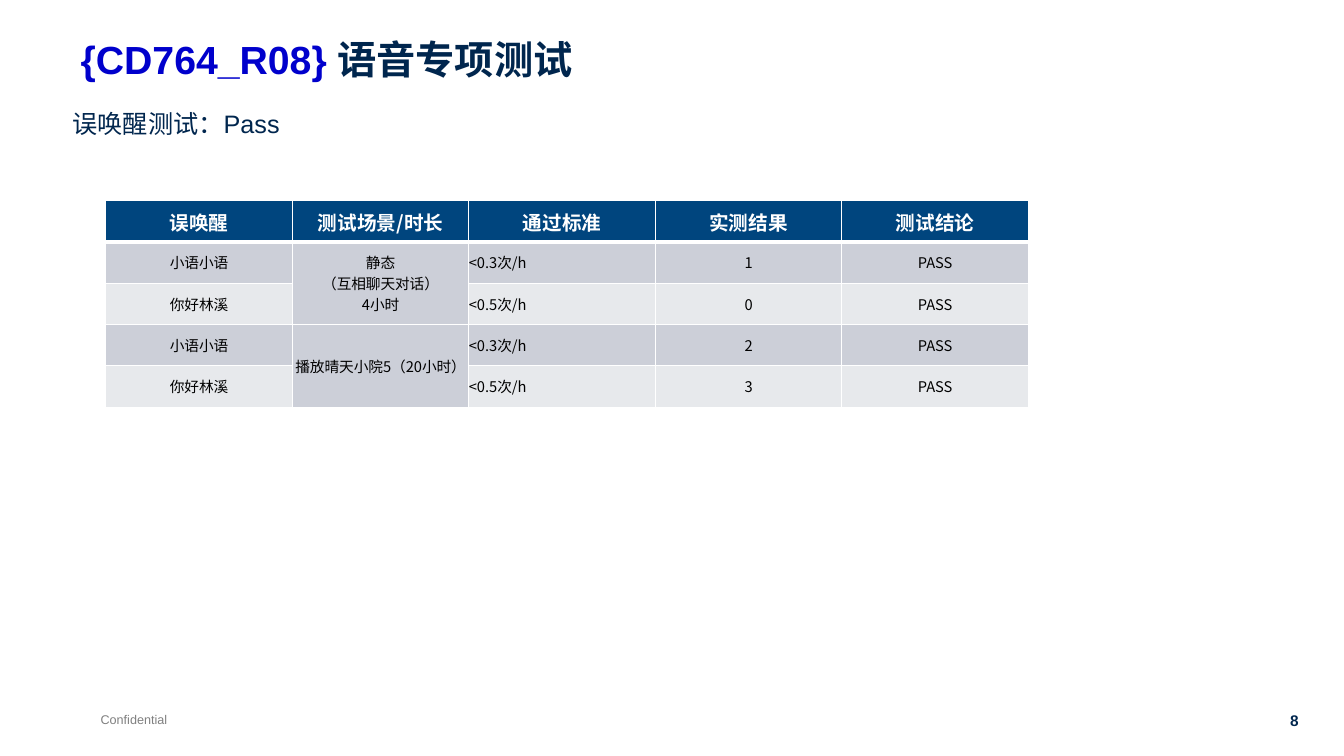
from dataclasses import dataclass

import lxml.etree
import pptx
import pptx.dml.color
import pptx.enum.text
import pptx.oxml.ns
import pptx.util

PX = 9144  # EMU in one px, 100 px to the inch
ALIGN = pptx.enum.text.PP_ALIGN
qn = pptx.oxml.ns.qn


@dataclass(frozen=True)
class Style:
    size: float
    color: str
    font: str = "Arial"
    bold: bool = False


@dataclass(frozen=True)
class Theme:
    asian_font: str = "Noto Sans CJK SC"
    title_code: Style = Style(28, "0000CC", bold=True)
    title: Style = Style(28, "00264E", bold=True)
    subtitle: Style = Style(18, "00264E")
    footer: Style = Style(9, "808080")
    page_number: Style = Style(11, "00264E", bold=True)
    header: Style = Style(14, "FFFFFF", "Noto Sans CJK SC", True)
    body: Style = Style(10.5, "000000", "Noto Sans CJK SC")
    header_fill: str = "00457E"
    band_fills: tuple[str, str] = ("CCCFD8", "E7E9EC")
    border: str = "FFFFFF"


@dataclass(frozen=True)
class Label:
    text: str
    box: tuple[int, int, int, int]
    style: Style
    align: ALIGN = ALIGN.LEFT
    wrap: bool = False


@dataclass(frozen=True)
class WakeTest:
    phrase: str
    scene: str
    limit: str
    result: str
    verdict: str = "PASS"

    def cells(self) -> list[str]:
        return [self.phrase, self.scene, self.limit, self.result, self.verdict]


THEME = Theme()
LABELS = [
    Label("Confidential", (90, 701, 87, 25), THEME.footer),
    Label("8", (1259, 701, 39, 29), THEME.page_number, ALIGN.RIGHT),
    Label("误唤醒测试：Pass", (62, 103, 1193, 40), THEME.subtitle, wrap=True),
]
HEADERS = ["误唤醒", "测试场景/时长", "通过标准", "实测结果", "测试结论"]
TESTS = [
    WakeTest("小语小语", "静态\v（互相聊天对话）\v4小时", "<0.3次/h", "1"),
    WakeTest("你好林溪", "", "<0.5次/h", "0"),
    WakeTest("小语小语", "播放晴天小院5（20小时）", "<0.3次/h", "2"),
    WakeTest("你好林溪", "", "<0.5次/h", "3"),
]
COLUMN_WIDTHS = [185, 175, 185, 185, 185]
ROW_HEIGHT = 41
SCENE_COLUMN, LIMIT_COLUMN = 1, 2


def rgb(color: str) -> pptx.dml.color.RGBColor:
    return pptx.dml.color.RGBColor.from_string(color)


def style_run(run, style: Style) -> None:
    run.font.name = style.font
    run.font.size = pptx.util.Pt(style.size)
    run.font.bold = style.bold
    run.font.color.rgb = rgb(style.color)
    lxml.etree.SubElement(run.font._element, qn("a:ea"), typeface=THEME.asian_font)


def style_paragraph(paragraph, style: Style, align: ALIGN) -> None:
    paragraph.alignment = align
    for run in paragraph.runs:
        style_run(run, style)
    for line_break in paragraph._p.findall(qn("a:br")):
        lxml.etree.SubElement(line_break, qn("a:rPr"), sz=str(int(style.size * 100)))


def place(shape, box: tuple[int, int, int, int]) -> None:
    shape.left, shape.top, shape.width, shape.height = (length * PX for length in box)


def fill_title(title) -> None:
    place(title, (70, 40, 1185, 63))
    frame = title.text_frame
    frame.vertical_anchor = pptx.enum.text.MSO_ANCHOR.TOP
    frame.margin_top = frame.margin_bottom = 0
    paragraph = frame.paragraphs[0]
    paragraph.alignment = ALIGN.LEFT
    paragraph.line_spacing = 0.9
    for text, style in (("{CD764_R08} ", THEME.title_code), ("语音专项测试", THEME.title)):
        run = paragraph.add_run()
        run.text = text
        style_run(run, style)


def add_label(slide, label: Label) -> None:
    shape = slide.shapes.add_textbox(*(length * PX for length in label.box))
    frame = shape.text_frame
    frame.text = label.text
    frame.word_wrap = label.wrap
    frame.auto_size = pptx.enum.text.MSO_AUTO_SIZE.SHAPE_TO_FIT_TEXT
    style_paragraph(frame.paragraphs[0], label.style, label.align)


def add_borders(cell, bottom_width: int) -> None:
    properties = cell._tc.get_or_add_tcPr()
    for side, width in (("lnL", 1), ("lnR", 1), ("lnT", 1), ("lnB", bottom_width)):
        line = lxml.etree.SubElement(properties, qn(f"a:{side}"), w=str(pptx.util.Pt(width)))
        fill = lxml.etree.SubElement(line, qn("a:solidFill"))
        lxml.etree.SubElement(fill, qn("a:srgbClr"), val=THEME.border)


def fill_cell(cell, text: str, row: int, column: int) -> None:
    is_header = row == 0
    cell.text = text
    cell.vertical_anchor = pptx.enum.text.MSO_ANCHOR.MIDDLE
    cell.margin_left = cell.margin_right = cell.margin_top = PX if is_header else 0
    cell.margin_bottom = 0
    add_borders(cell, 3 if is_header else 1)
    cell.fill.solid()
    fill = THEME.header_fill if is_header else THEME.band_fills[(row - 1) % 2]
    cell.fill.fore_color.rgb = rgb(fill)
    align = ALIGN.LEFT if column == LIMIT_COLUMN and not is_header else ALIGN.CENTER
    style = THEME.header if is_header else THEME.body
    style_paragraph(cell.text_frame.paragraphs[0], style, align)


def add_results_table(slide) -> None:
    rows = [HEADERS] + [test.cells() for test in TESTS]
    box = (105, 199, sum(COLUMN_WIDTHS), ROW_HEIGHT * len(rows))
    frame = slide.shapes.add_table(
        len(rows), len(HEADERS), *(length * PX for length in box))
    table = frame.table
    for column, width in zip(table.columns, COLUMN_WIDTHS):
        column.width = width * PX
    for row_index, texts in enumerate(rows):
        for column_index, text in enumerate(texts):
            fill_cell(table.cell(row_index, column_index), text, row_index, column_index)
    for top in range(1, len(rows), 2):
        table.cell(top, SCENE_COLUMN).merge(table.cell(top + 1, SCENE_COLUMN))


def main() -> None:
    presentation = pptx.Presentation()
    presentation.slide_width = 1333 * PX
    presentation.slide_height = 750 * PX
    slide = presentation.slides.add_slide(presentation.slide_layouts.get_by_name("Title Only"))
    fill_title(slide.shapes.title)
    for label in LABELS:
        add_label(slide, label)
    add_results_table(slide)
    presentation.save("out.pptx")


if __name__ == "__main__":
    main()
